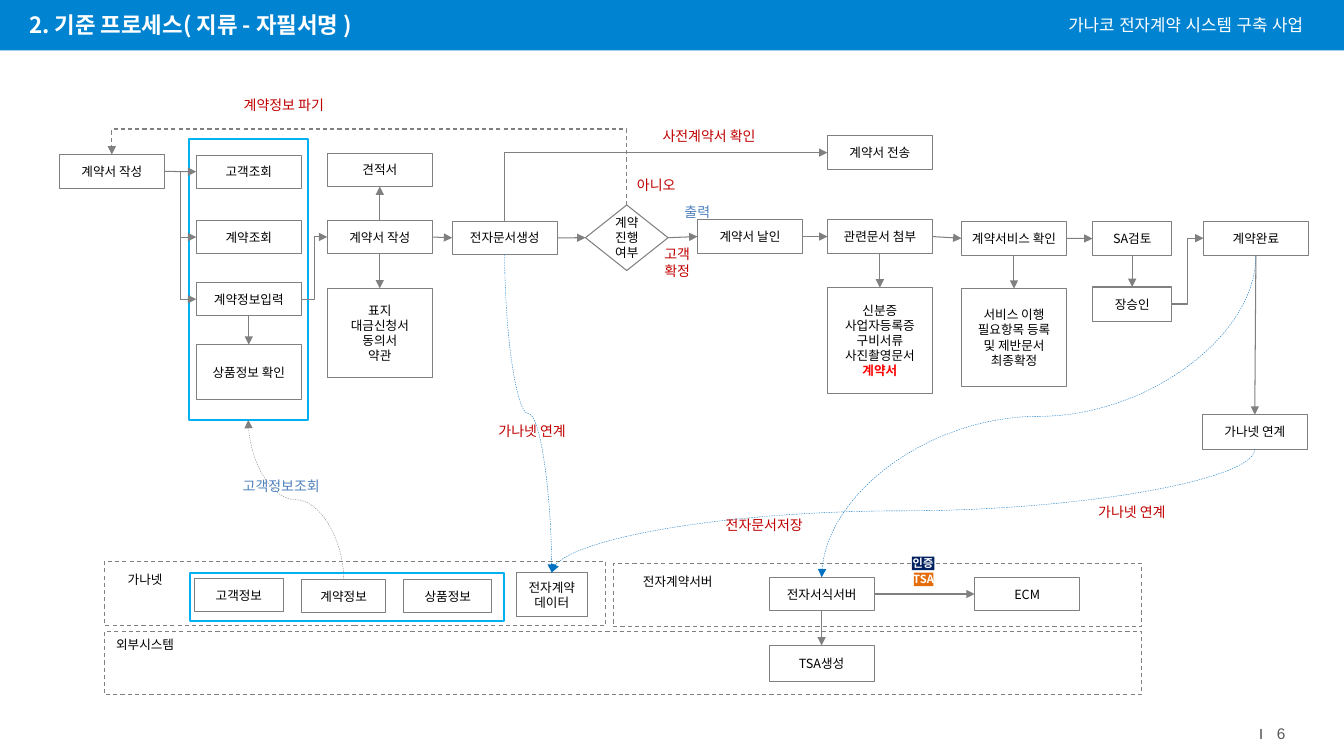
import pptx
import pptx.util
import pptx.dml.color
import pptx.enum.dml
import pptx.enum.shapes
import pptx.enum.text
import pptx.oxml
import pptx.oxml.ns
from lxml import etree

Pt = pptx.util.Pt
RGBColor = pptx.dml.color.RGBColor
SHAPE = pptx.enum.shapes.MSO_SHAPE
KIND = pptx.enum.shapes.MSO_CONNECTOR
ALIGN = pptx.enum.text.PP_ALIGN
ANCHOR = pptx.enum.text.MSO_ANCHOR
DASH = pptx.enum.dml.MSO_LINE.DASH
qn = pptx.oxml.ns.qn

WHITE = RGBColor(0xFF, 0xFF, 0xFF)
BLACK = RGBColor(0, 0, 0)
GRAY = RGBColor(0x80, 0x80, 0x80)
DARK_GRAY = RGBColor(0x59, 0x59, 0x59)
HEADER_BLUE = RGBColor(0x00, 0x84, 0xD1)
FRAME_BLUE = RGBColor(0x00, 0xB0, 0xF0)
CURVE_BLUE = RGBColor(0x00, 0x70, 0xC0)
LABEL_BLUE = RGBColor(0x4F, 0x81, 0xBD)
LABEL_RED = RGBColor(0xC0, 0, 0)
RED = RGBColor(0xFF, 0, 0)
NAVY = RGBColor(0x00, 0x20, 0x60)
ORANGE = RGBColor(0xE4, 0x6C, 0x0A)
FONT = "Noto Sans CJK KR"
TOP, LEFT, BOTTOM, RIGHT = range(4)

prs = pptx.Presentation()
prs.slide_width, prs.slide_height = Pt(960), Pt(540)
s = prs.slides.add_slide(prs.slide_layouts[5])


def write(sp, text, size, color, align=ALIGN.CENTER, bold=False, font=FONT):
    tf = sp.text_frame
    tf.text = text
    tf.word_wrap = True
    for p in tf.paragraphs:
        p.alignment = align
        for r in p.runs:
            r.font.size, r.font.bold, r.font.name = Pt(size), bold, font
            r.font.color.rgb = color
            etree.SubElement(r.font._element, qn("a:ea"), typeface=font)


def link(kind, begin, end, color=GRAY, width=0.75, dash=None, adjust=None, upright=False):
    """Join two (shape, side) ends; upright turns the path so it leaves vertically."""
    c = s.shapes.add_connector(kind, 0, 0, 0, 0)
    c.begin_connect(*begin)
    c.end_connect(*end)
    c.line.color.rgb, c.line.width, c.line.dash_style = color, Pt(width), dash
    spPr = c._element.spPr
    etree.SubElement(c.line._get_or_add_ln(), qn("a:tailEnd"), type="triangle")
    etree.SubElement(spPr, qn("a:effectLst"))
    if upright:
        dx, dy = c.end_x - c.begin_x, c.end_y - c.begin_y
        mid_x, mid_y = (c.begin_x + c.end_x) // 2, (c.begin_y + c.end_y) // 2
        xfrm = spPr.xfrm
        xfrm.flipH, xfrm.flipV = False, (dx > 0) == (dy > 0)
        xfrm.rot = 90 if dy > 0 else 270
        c.width, c.height = abs(dy), abs(dx)
        c.left, c.top = mid_x - abs(dy) // 2, mid_y - abs(dx) // 2
    if adjust:
        guides = spPr.find(qn("a:prstGeom")).get_or_add_avLst()
        etree.SubElement(guides, qn("a:gd"), name="adj1", fmla=f"val {adjust}")
    return c


# Header
bar = s.shapes.add_shape(SHAPE.RECTANGLE, 0, 0, Pt(960), Pt(36))
bar.shadow.inherit = False
bar.fill.solid()
bar.fill.fore_color.rgb = HEADER_BLUE
bar.line.fill.background()
s.shapes._spTree.insert(2, bar._element)
title = s.shapes.title
title.left, title.top, title.width, title.height = Pt(13.7), Pt(4.3), Pt(312.5), Pt(26.6)
write(title, "2. 기준 프로세스( 지류 - 자필서명 )", 16, WHITE, ALIGN.LEFT, True)
title.text_frame.vertical_anchor = ANCHOR.MIDDLE

# Frames
frames = {}
for name, x, y, w, h, color, width, dash in [
    ("lookup", 134.8, 99.6, 85, 200.4, FRAME_BLUE, 1.5, None),
    ("customer data", 135.6, 409, 224.6, 34.8, FRAME_BLUE, 1.5, None),
    ("internal", 74.6, 401, 358, 45.6, GRAY, 0.75, DASH),
    ("contract server", 438, 402.4, 377.4, 45.2, GRAY, 0.75, DASH),
    ("external", 74.6, 450.8, 740.8, 45.6, GRAY, 0.75, DASH),
]:
    sp = s.shapes.add_shape(SHAPE.RECTANGLE, Pt(x), Pt(y), Pt(w), Pt(h))
    sp.shadow.inherit = False
    sp.fill.background()
    sp.line.color.rgb, sp.line.width, sp.line.dash_style = color, Pt(width), dash
    frames[name] = sp

# Process boxes
boxes = {}
for name, text, x, y, w, h in [
    ("start", "계약서 작성", 42.4, 110.4, 75, 24),
    ("customer", "고객조회", 140.2, 110.8, 75, 23.8),
    ("contract", "계약조회", 140.2, 157.4, 75, 23.8),
    ("input", "계약정보입력", 140.2, 201.8, 75, 23.8),
    ("product", "상품정보 확인", 140.2, 246.2, 75, 39.4),
    ("quote", "견적서", 233.8, 109.4, 75, 23.8),
    ("draft", "계약서 작성", 233.8, 157.4, 75, 23.8),
    ("forms", "표지\n대금신청서\n동의서\n약관", 233.8, 206, 75, 63.8),
    ("document", "전자문서생성", 323, 158, 75, 23.8),
    ("decision", "계약\n진행\n여부", 418.2, 146.4, 59, 46.8),
    ("seal", "계약서 날인", 498.2, 156.8, 75, 24.4),
    ("send", "계약서 전송", 591, 96.8, 75, 24.4),
    ("attach", "관련문서 첨부", 591, 156.8, 75, 24.4),
    ("papers", "신분증\n사업자등록증\n구비서류\n사진촬영문서\n계약서", 591, 205.4, 75, 75.6),
    ("service", "계약서비스 확인", 686.8, 158, 75, 24.4),
    ("final", "서비스 이행\n필요항목 등록 및 제반문서 최종확정", 686.8, 206.2, 75, 69.8),
    ("review", "SA검토", 780.4, 158.2, 56.6, 24.4),
    ("approve", "장승인", 780.4, 205, 56.6, 24.4),
    ("done", "계약완료", 859.6, 158, 75, 24.4),
    ("sync", "가나넷 연계", 858.8, 296.2, 75, 24.6),
    ("customer info", "고객정보", 138.8, 413.2, 63.6, 23.6),
    ("contract info", "계약정보", 215.4, 414, 60.2, 23.6),
    ("product info", "상품정보", 288.4, 414, 62.8, 23.6),
    ("data", "전자계약\n데이터", 368.8, 409, 50.6, 31.4),
    ("form server", "전자서식서버", 549.4, 412.4, 75, 23.8),
    ("ecm", "ECM", 696.2, 412.4, 75, 23.8),
    ("tsa", "TSA생성", 549.4, 461, 75, 25.8),
]:
    shape = SHAPE.DIAMOND if name == "decision" else SHAPE.RECTANGLE
    sp = s.shapes.add_shape(shape, Pt(x), Pt(y), Pt(w), Pt(h))
    sp.shadow.inherit = False
    sp.fill.solid()
    sp.fill.fore_color.rgb = WHITE
    sp.line.color.rgb, sp.line.width = GRAY, Pt(0.75)
    write(sp, text, 9, BLACK)
    tf = sp.text_frame
    tf.vertical_anchor = ANCHOR.MIDDLE
    if h < 48:
        tf.margin_left = tf.margin_right = 0
    boxes[name] = sp
r = boxes["papers"].text_frame.paragraphs[-1].runs[0]
r.font.bold, r.font.color.rgb = True, RED

# Straight arrows
for a, side_a, b, side_b in [
    ("start", RIGHT, "customer", LEFT), ("input", BOTTOM, "product", TOP),
    ("draft", BOTTOM, "forms", TOP), ("draft", TOP, "quote", BOTTOM),
    ("draft", RIGHT, "document", LEFT), ("document", RIGHT, "decision", LEFT),
    ("decision", RIGHT, "seal", LEFT), ("seal", RIGHT, "attach", LEFT),
    ("attach", BOTTOM, "papers", TOP), ("attach", RIGHT, "service", LEFT),
    ("service", BOTTOM, "final", TOP), ("service", RIGHT, "review", LEFT),
    ("review", BOTTOM, "approve", TOP), ("done", BOTTOM, "sync", TOP),
    ("form server", RIGHT, "ecm", LEFT), ("form server", BOTTOM, "tsa", TOP),
]:
    link(KIND.STRAIGHT, (boxes[a], side_a), (boxes[b], side_b))

# Bent arrows
for a, b in [("start", "contract"), ("start", "input"), ("input", "draft"), ("approve", "done")]:
    link(KIND.ELBOW, (boxes[a], RIGHT), (boxes[b], LEFT))
link(KIND.ELBOW, (boxes["decision"], TOP), (boxes["start"], TOP),
     dash=DASH, adjust=150600, upright=True)
corner = link(KIND.ELBOW, (boxes["document"], TOP), (boxes["send"], LEFT), upright=True)
corner._element.spPr.find(qn("a:prstGeom")).set("prst", "bentConnector2")

# Curved arrows
for a, b in [("done", "form server"), ("sync", "data"), ("document", "data")]:
    link(KIND.CURVE, (boxes[a], BOTTOM), (boxes[b], TOP), CURVE_BLUE, 0.25, DASH, upright=True)
link(KIND.CURVE, (boxes["contract info"], TOP), (frames["lookup"], BOTTOM),
     GRAY, 0.25, DASH, upright=True)

# Certificate tags
for text, x, y, w, color in [("인증", 651.4, 397.6, 16, NAVY), ("TSA", 652.8, 409, 14, ORANGE)]:
    sp = s.shapes.add_shape(SHAPE.RECTANGLE, Pt(x), Pt(y), Pt(w), Pt(9.6))
    sp.shadow.inherit = False
    sp.fill.solid()
    sp.fill.fore_color.rgb = color
    sp.line.fill.background()
    write(sp, text, 8, WHITE, bold=True)
    tf = sp.text_frame
    tf.word_wrap = False
    tf.vertical_anchor = ANCHOR.MIDDLE
    tf.margin_left = tf.margin_right = tf.margin_top = tf.margin_bottom = 0

# Labels, header name and page number
for text, x, y, w, h, size, color, align, font in [
    ("계약정보 파기", 163.4, 65.4, 78.6, 19.4, 10, LABEL_RED, ALIGN.CENTER, FONT),
    ("사전계약서 확인", 462.2, 87.6, 88.6, 19.4, 10, LABEL_RED, ALIGN.CENTER, FONT),
    ("아니오", 446.4, 122.4, 44.6, 19.4, 10, LABEL_RED, ALIGN.CENTER, FONT),
    ("출력", 479.4, 141.8, 37.4, 19.4, 10, LABEL_BLUE, ALIGN.CENTER, FONT),
    ("고객\n확정", 466.4, 172, 34.6, 31.6, 10, LABEL_RED, ALIGN.CENTER, FONT),
    ("가나넷 연계", 342.6, 298, 75, 19.4, 10, LABEL_RED, ALIGN.CENTER, FONT),
    ("고객정보조회", 163.4, 337.6, 75, 19.4, 10, LABEL_BLUE, ALIGN.CENTER, FONT),
    ("전자문서저장", 508.4, 365.6, 75, 19.4, 10, LABEL_RED, ALIGN.CENTER, FONT),
    ("가나넷 연계", 771, 356.4, 75, 19.4, 10, LABEL_RED, ALIGN.CENTER, FONT),
    ("가나넷", 73.4, 405.2, 60.4, 18, 9, BLACK, ALIGN.CENTER, FONT),
    ("외부시스템", 73.4, 451.4, 60.4, 18, 9, BLACK, ALIGN.CENTER, FONT),
    ("전자계약서버", 443.4, 406.2, 81.4, 18, 9, BLACK, ALIGN.CENTER, FONT),
    ("가나코 전자계약 시스템 구축 사업", 756, 7.2, 200, 21.6, 12, WHITE, ALIGN.LEFT, "Arial"),
    ("6", 905, 514, 37.4, 20.8, 11, DARK_GRAY, ALIGN.LEFT, "Arial"),
]:
    sp = s.shapes.add_textbox(Pt(x), Pt(y), Pt(w), Pt(h))
    write(sp, text, size, color, align, font=font)
mark = s.shapes.add_connector(KIND.STRAIGHT, Pt(900.6), Pt(520.4), Pt(900.6), Pt(527.8))
mark.line.color.rgb, mark.line.width = GRAY, Pt(1)
etree.SubElement(mark._element.spPr, qn("a:effectLst"))

prs.save("out.pptx")
